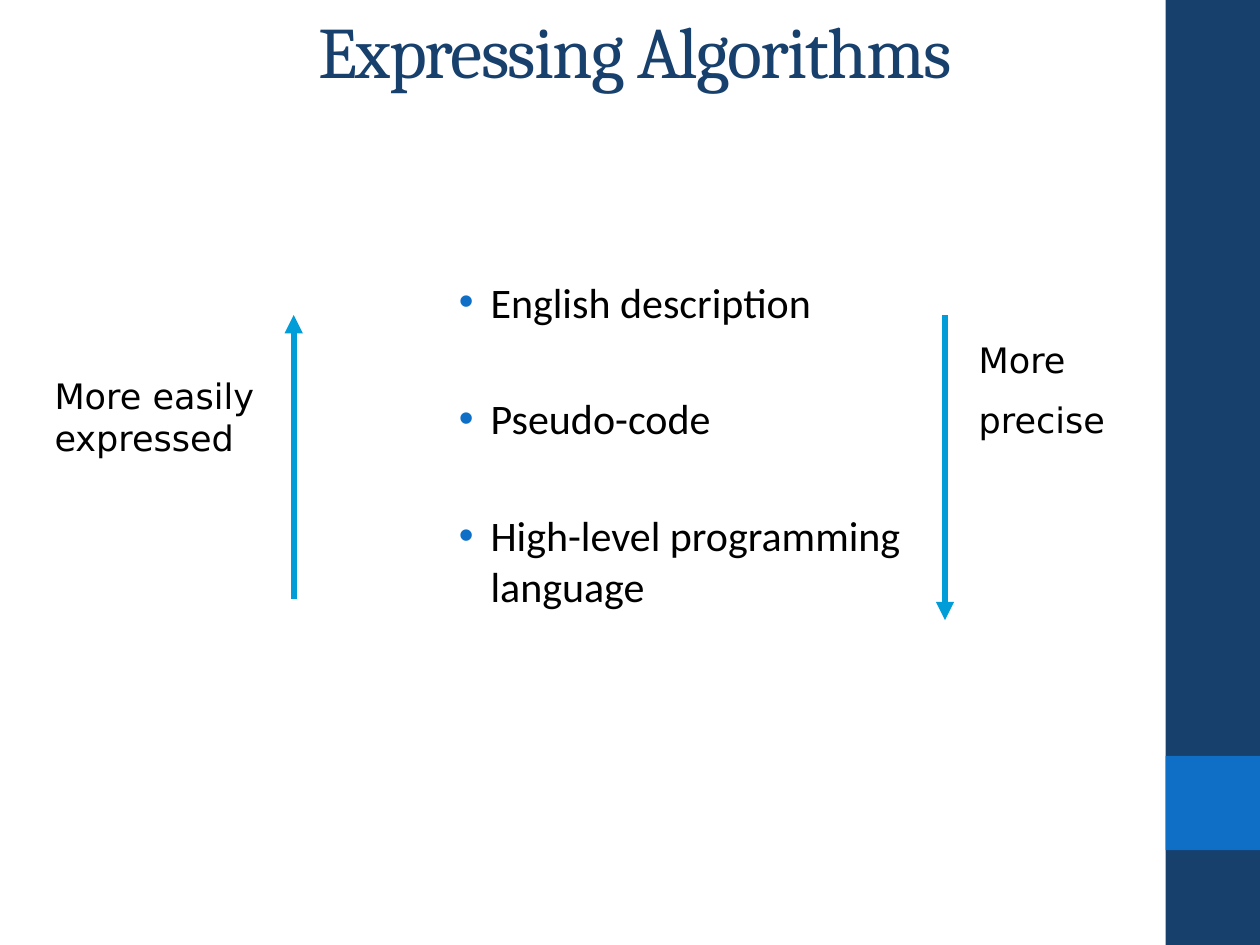
from lxml.etree import SubElement
from pptx import Presentation
from pptx.dml.color import RGBColor
from pptx.enum.shapes import MSO_CONNECTOR as Connector, MSO_SHAPE as Shape
from pptx.enum.text import MSO_ANCHOR as Anchor, PP_ALIGN as Align
from pptx.oxml.ns import qn
from pptx.util import Cm, Pt

NAVY = RGBColor(0x17, 0x40, 0x6D)
BLUE = RGBColor(0x0F, 0x6F, 0xC6)
CYAN = RGBColor(0x00, 0x9D, 0xD9)
BLACK = RGBColor(0, 0, 0)

SLIDE_WIDTH, SLIDE_HEIGHT = Cm(25.4), Cm(19.05)
BAND_WIDTH = Cm(1.9)
ARROW_TOP = Cm(6.35)


def add_band(slide, top, height, color):
    band = slide.shapes.add_shape(
        Shape.RECTANGLE, SLIDE_WIDTH - BAND_WIDTH, top, BAND_WIDTH, height)
    band.shadow.inherit = False
    band.fill.solid()
    band.fill.fore_color.rgb = color
    band.line.fill.background()


def add_text(slide, place, lines, font, size, color=BLACK, gap=0):
    frame = slide.shapes.add_textbox(*place).text_frame
    frame.word_wrap = True
    for index, line in enumerate(lines):
        paragraph = frame.paragraphs[0] if index == 0 else frame.add_paragraph()
        paragraph.space_before = Pt(gap if index else 0)
        run = paragraph.add_run()
        run.text = line
        run.font.name = font
        run.font.size = Pt(size)
        run.font.color.rgb = color
    return frame


def add_title(slide, wording):
    place = Cm(0.2), Cm(0), Cm(25.2), Cm(1.98)
    title = add_text(slide, place, [wording], "Cambria", 41.4, NAVY)
    title.vertical_anchor = Anchor.MIDDLE
    heading = title.paragraphs[0]
    heading.alignment = Align.CENTER
    heading.runs[0].font._element.set("spc", "-100")


def add_bullets(slide, place, items):
    notations = add_text(slide, place, items, "Calibri", 24, gap=38)
    for paragraph in notations.paragraphs:
        properties = paragraph._p.get_or_add_pPr()
        properties.set("marL", str(Cm(0.95)))
        properties.set("indent", str(-Cm(0.64)))
        bullet_color = SubElement(properties, qn("a:buClr"))
        SubElement(bullet_color, qn("a:srgbClr"), val=str(BLUE))
        SubElement(properties, qn("a:buFont"), typeface="Arial")
        SubElement(properties, qn("a:buChar"), char="•")


def add_arrow(slide, x, start, end):
    arrow = slide.shapes.add_connector(Connector.STRAIGHT, x, start, x, end)
    arrow.line.color.rgb = CYAN
    arrow.line.width = Pt(3.5)
    SubElement(arrow.line._get_or_add_ln(), qn("a:tailEnd"), type="triangle")
    SubElement(arrow._element.spPr, qn("a:effectLst"))


def main():
    deck = Presentation()
    deck.slide_width, deck.slide_height = SLIDE_WIDTH, SLIDE_HEIGHT
    slide = deck.slides.add_slide(deck.slide_layouts[6])

    add_band(slide, Cm(0), SLIDE_HEIGHT, NAVY)
    add_band(slide, Cm(15.24), BAND_WIDTH, BLUE)
    add_title(slide, "Expressing Algorithms")
    add_bullets(slide, (Cm(8.69), Cm(5.44), Cm(9.96), Cm(9.9)), [
        "English description",
        "Pseudo-code",
        "High-level programming language",
    ])

    add_arrow(slide, Cm(19.05), ARROW_TOP, Cm(12.5))
    add_text(slide, (Cm(19.48), Cm(6.7), Cm(3.18), Cm(3.63)),
             ["More", "precise"], "DejaVu Sans", 20, gap=10)
    add_arrow(slide, Cm(5.92), Cm(12.07), ARROW_TOP)
    add_text(slide, (Cm(0.85), Cm(7.42), Cm(4.65), Cm(3.23)),
             ["More easily expressed"], "DejaVu Sans", 20)

    deck.save("out.pptx")


if __name__ == "__main__":
    main()
